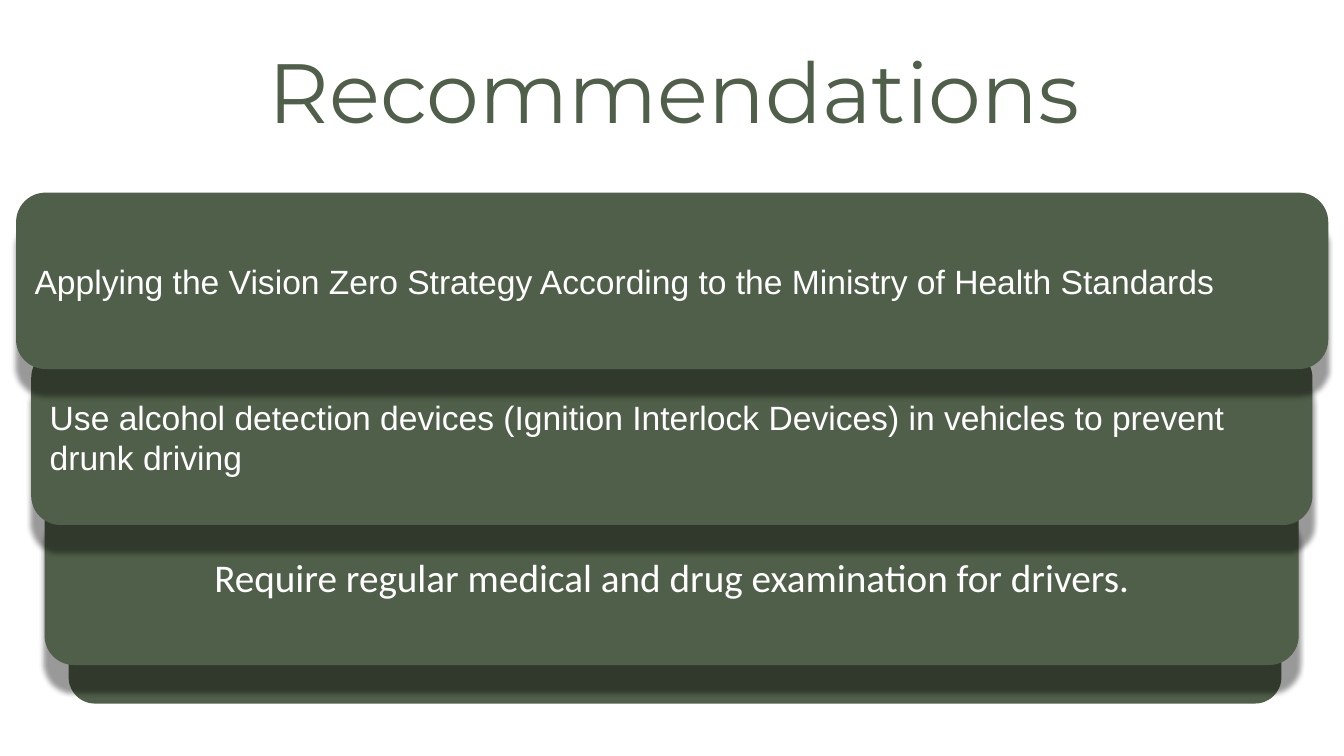
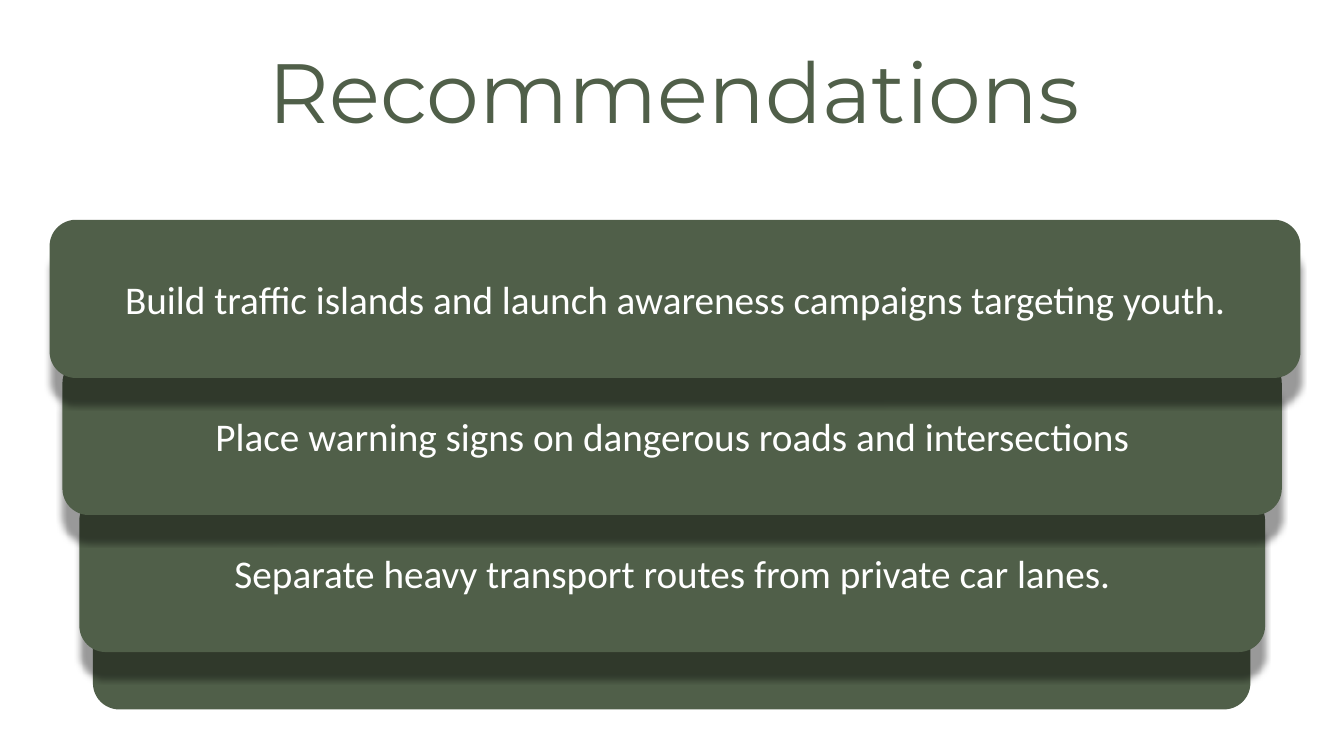
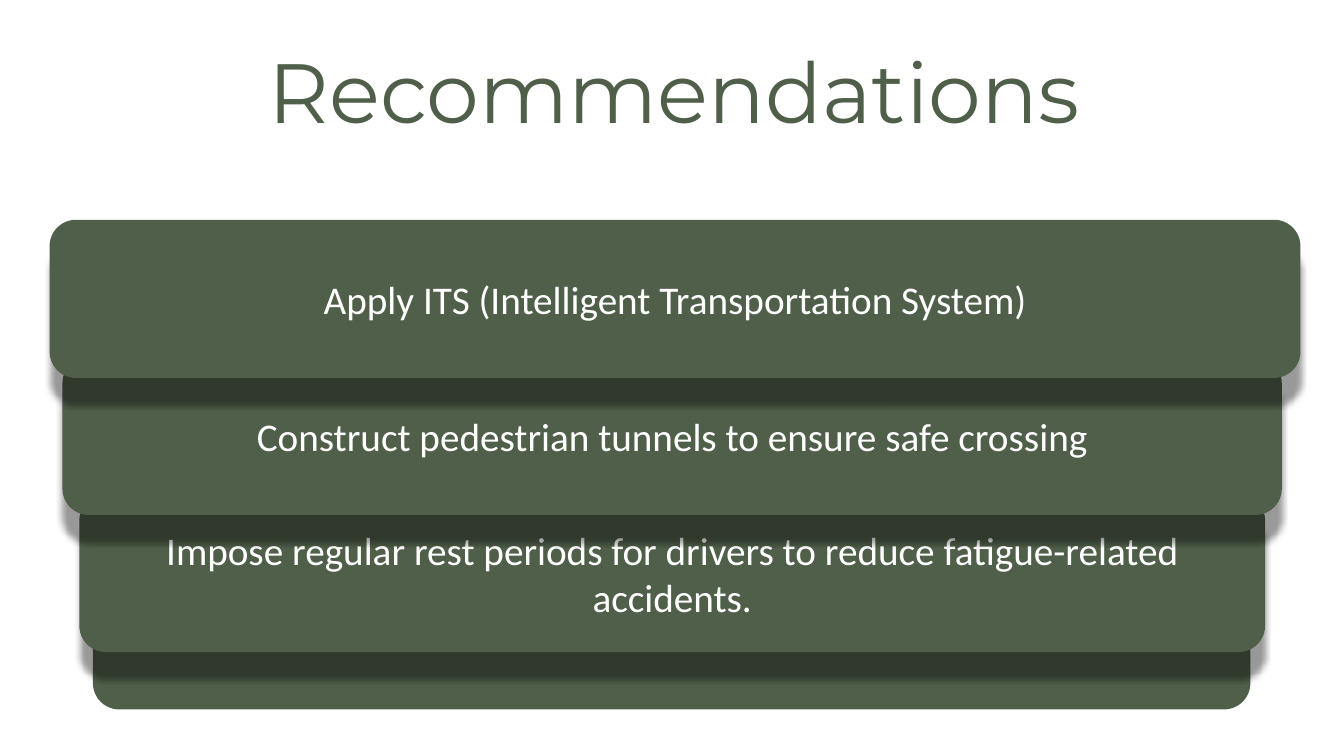
import dataclasses
import typing

import pptx
import pptx.dml.color
import pptx.enum.shapes
import pptx.enum.text
import pptx.oxml
import pptx.oxml.ns
import pptx.util

Pt = pptx.util.Pt
ALIGN = pptx.enum.text.PP_ALIGN
ANCHOR = pptx.enum.text.MSO_ANCHOR
AUTO_SIZE = pptx.enum.text.MSO_AUTO_SIZE


# Theme: colours, type and shadow
@dataclasses.dataclass(frozen=True)
class TextStyle:
    font: str
    size: float
    color: str
    align: ALIGN


@dataclasses.dataclass(frozen=True)
class Theme:
    green: str = "505F49"
    shadow: str = "000000"
    shadow_opacity: int = 40
    shadow_blur: float = 4
    shadow_distance: float = 19
    title: TextStyle = TextStyle("Montserrat", 60, "505F49", ALIGN.LEFT)
    measure: TextStyle = TextStyle("Calibri", 28, "FFFFFF", ALIGN.CENTER)
    policy: TextStyle = TextStyle("Arial", 24, "FFFFFF", ALIGN.LEFT)


THEME = Theme()
TITLE = "Recommendations"


# Content: stacks of overlapping cards, listed from the front card down
@dataclasses.dataclass(frozen=True)
class Card:
    left: float
    top: float
    width: float
    height: float


class Advice(typing.NamedTuple):
    text: str
    style: TextStyle = THEME.measure


class Stack(typing.NamedTuple):
    cards: list[Card]
    base: Card
    advice: list[Advice]


BASE_HEIGHT = 113
TALL_HEIGHT = 126
STEP = 97.9
FIRST_TOP = 157

WIDE_CARDS = [
    Card(11.5, 137.6, 937.3, TALL_HEIGHT),
    Card(22.3, 249, 915.2, TALL_HEIGHT),
    Card(31.9, 349, 895.8, TALL_HEIGHT),
]
WIDE_BASE = Card(49, 389.6, 866.3, BASE_HEIGHT)

EVEN_CARDS = [
    Card(left, FIRST_TOP + row * STEP, width, BASE_HEIGHT)
    for row, (left, width) in enumerate([(35.4, 893.5), (44.6, 871), (56.7, 847)])
]
EVEN_BASE = Card(66.4, 393.8, 826.8, BASE_HEIGHT)

STACKS = [
    Stack(WIDE_CARDS, WIDE_BASE, [
        Advice("Applying the Vision Zero Strategy According to the Ministry of Health Standards",
               THEME.policy),
        Advice("Use alcohol detection devices (Ignition Interlock Devices) in vehicles to "
               "prevent drunk driving", THEME.policy),
        Advice("Require regular medical and drug examination for drivers."),
    ]),
    Stack(EVEN_CARDS, EVEN_BASE, [
        Advice("Build traffic islands and launch awareness campaigns targeting youth."),
        Advice("Place warning signs on dangerous roads and intersections"),
        Advice("Separate heavy transport routes from private car lanes."),
    ]),
    Stack(EVEN_CARDS, EVEN_BASE, [
        Advice("Apply ITS (Intelligent Transportation System)"),
        Advice("Construct pedestrian tunnels to ensure safe crossing"),
        Advice("Impose regular rest periods for drivers to reduce fatigue-related accidents."),
    ]),
]


# Drawing
def write(frame, text: str, style: TextStyle, anchor: ANCHOR, auto_size: AUTO_SIZE) -> None:
    for name, value in {"word_wrap": True, "vertical_anchor": anchor,
                        "auto_size": auto_size}.items():
        setattr(frame, name, value)
    paragraph = frame.paragraphs[0]
    paragraph.alignment = style.align
    run = paragraph.add_run()
    run.text = text
    for name, value in {"name": style.font, "size": Pt(style.size)}.items():
        setattr(run.font, name, value)
    run.font.color.rgb = pptx.dml.color.RGBColor.from_string(style.color)


def add_drop_shadow(shape) -> None:
    effects = shape._element.spPr.find(pptx.oxml.ns.qn("a:effectLst"))
    effects.append(pptx.oxml.parse_xml(
        f'<a:outerShdw {pptx.oxml.ns.nsdecls("a")} blurRad="{Pt(THEME.shadow_blur)}" '
        f'dist="{Pt(THEME.shadow_distance)}" dir="{90 * 60000}" algn="t" rotWithShape="0">'
        f'<a:srgbClr val="{THEME.shadow}"><a:alpha val="{THEME.shadow_opacity * 1000}"/>'
        f'</a:srgbClr></a:outerShdw>'))


def draw_card(slide, card: Card, advice: Advice | None = None) -> None:
    panel = slide.shapes.add_shape(
        pptx.enum.shapes.MSO_SHAPE.ROUNDED_RECTANGLE,
        *map(Pt, dataclasses.astuple(card)))
    panel.fill.solid()
    panel.fill.fore_color.rgb = pptx.dml.color.RGBColor.from_string(THEME.green)
    panel.line.fill.background()
    panel.shadow.inherit = False
    if advice:
        add_drop_shadow(panel)
        write(panel.text_frame, advice.text, advice.style, ANCHOR.MIDDLE, AUTO_SIZE.NONE)


def draw_title(slide) -> None:
    heading = slide.shapes.add_textbox(Pt(185), Pt(24.5), Pt(643), Pt(80))
    write(heading.text_frame, TITLE, THEME.title, ANCHOR.TOP, AUTO_SIZE.SHAPE_TO_FIT_TEXT)


def main() -> None:
    deck = pptx.Presentation()
    deck.slide_width, deck.slide_height = Pt(960), Pt(540)
    blank = deck.slide_layouts[6]
    for stack in STACKS:
        slide = deck.slides.add_slide(blank)
        draw_card(slide, stack.base)
        for card, advice in reversed(list(zip(stack.cards, stack.advice))):
            draw_card(slide, card, advice)
        draw_title(slide)
    deck.save("out.pptx")


if __name__ == "__main__":
    main()
